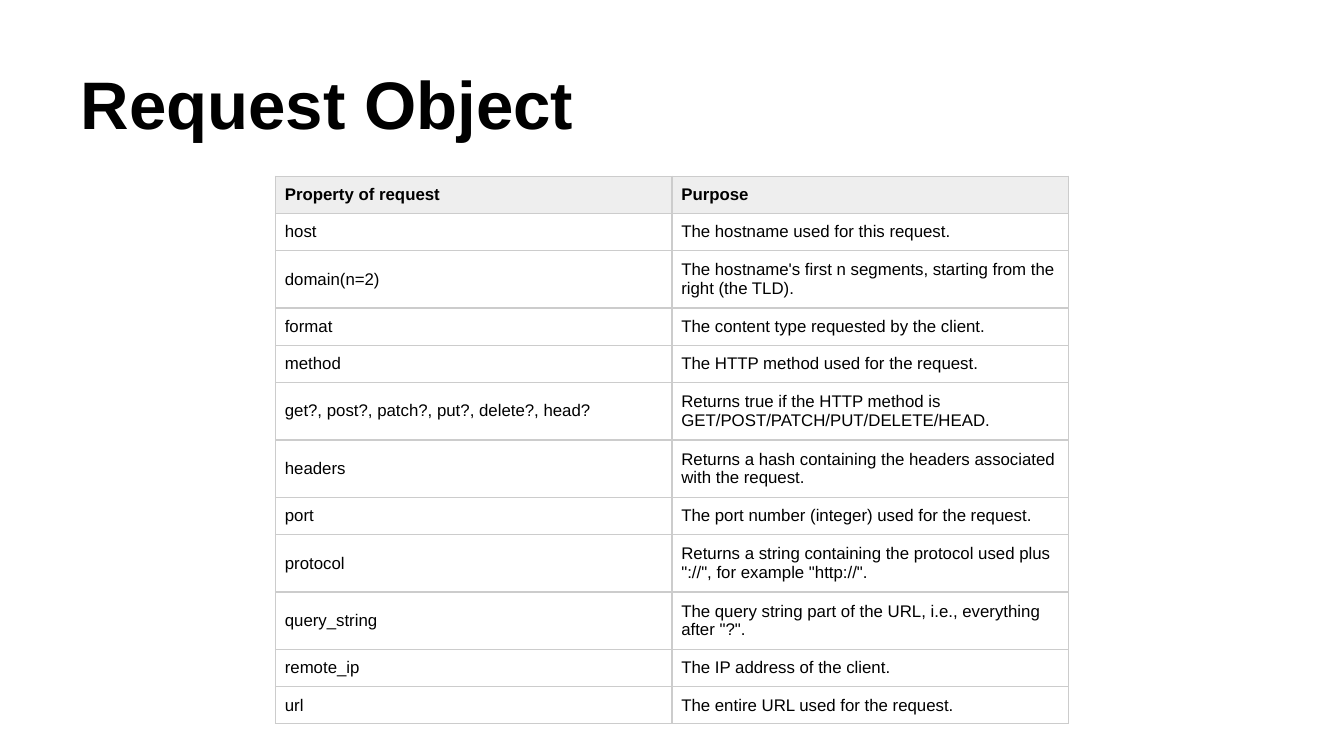
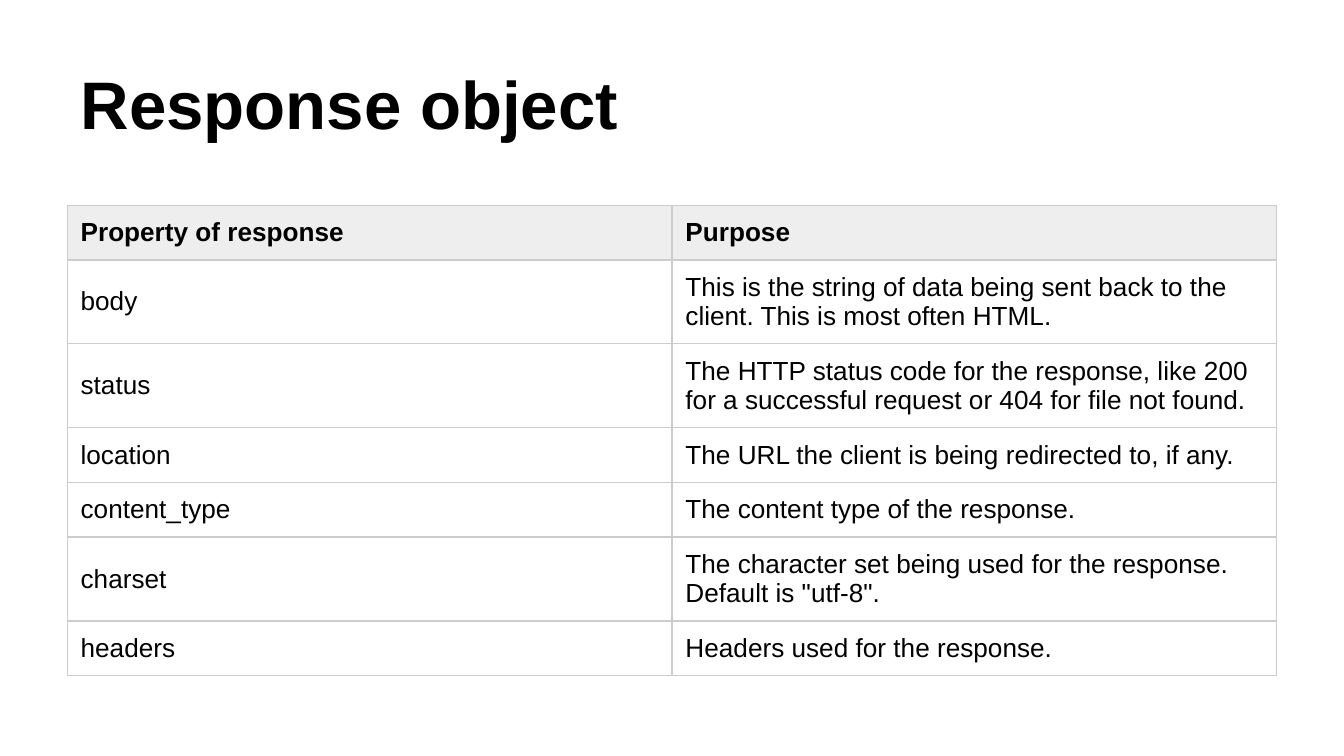
"""Builds two slides that tabulate the request and response objects."""
from dataclasses import dataclass

from lxml.etree import SubElement
from pptx import Presentation
from pptx.dml.color import RGBColor as RGB
from pptx.enum.text import MSO_ANCHOR as Anchor, PP_ALIGN as Align
from pptx.oxml.ns import qn
from pptx.util import Pt

REQUEST = [
    ("Property of request", "Purpose"),
    ("host", "The hostname used for this request."),
    ("domain(n=2)", "The hostname's first n segments, starting from the right (the TLD)."),
    ("format", "The content type requested by the client."),
    ("method", "The HTTP method used for the request."),
    ("get?, post?, patch?, put?, delete?, head?",
     "Returns true if the HTTP method is GET/POST/PATCH/PUT/DELETE/HEAD."),
    ("headers", "Returns a hash containing the headers associated with the request."),
    ("port", "The port number (integer) used for the request."),
    ("protocol", 'Returns a string containing the protocol used plus "://", for example "http://".'),
    ("query_string", 'The query string part of the URL, i.e., everything after "?".'),
    ("remote_ip", "The IP address of the client."),
    ("url", "The entire URL used for the request."),
]
RESPONSE = [
    ("Property of response", "Purpose"),
    ("body", "This is the string of data being sent back to the client. This is most often HTML."),
    ("status",
     "The HTTP status code for the response, like 200 for a successful request or 404 for file not found."),
    ("location", "The URL the client is being redirected to, if any."),
    ("content_type", "The content type of the response."),
    ("charset", 'The character set being used for the response. Default is "utf-8".'),
    ("headers", "Headers used for the response."),
]
SLIDES = [
    dict(title="Request Object", rows=REQUEST, top=94.4, width=424.8,
         size=9, pad=(5, 4.5), low=19.95, high=30.8),
    dict(title="Response object", rows=RESPONSE, top=110, width=648,
         size=14, pad=(7.2, 6.5), low=29.25, high=45),
]


@dataclass(frozen=True)
class Theme:
    """Holds the shared look and page measures."""
    font: str = "Arial"
    ink: str = "000000"
    head: str = "EEEEEE"
    body: str = "FFFFFF"
    rule: str = "CCCCCC"
    line: float = 0.75
    title: int = 36
    wide: int = 720
    tall: int = 405
    wrap: int = 55


T = Theme()


def write(frame, text, size, bold=False, pad=(7.2, 7.2)):
    """Puts formatted text with equal side padding into a frame or cell."""
    frame.margin_left = frame.margin_right = Pt(pad[0])
    frame.margin_top = frame.margin_bottom = Pt(pad[1])
    body = getattr(frame, "text_frame", frame)
    body.word_wrap = True
    para = body.paragraphs[0]
    para.alignment = Align.LEFT
    run = para.add_run()
    run.text = text
    run.font.name, run.font.size, run.font.bold = T.font, Pt(size), bold
    run.font.color.rgb = RGB.from_string(T.ink)


def frame_cell(cell):
    """Draws a thin rule on all four sides of a cell."""
    props = cell._tc.get_or_add_tcPr()
    for side in "LRTB":
        line = SubElement(props, qn(f"a:ln{side}"), w=str(Pt(T.line)))
        fill = SubElement(line, qn("a:solidFill"))
        SubElement(fill, qn("a:srgbClr"), val=T.rule)


def add_grid(slide, rows, top, width, size, pad, low, high):
    """Adds a centred table with taller rows where the purpose wraps."""
    tall = [high if len(row[-1]) > T.wrap else low for row in rows]
    cols = len(rows[0])
    grid = slide.shapes.add_table(len(rows), cols, Pt((T.wide - width) / 2), Pt(top),
                                  Pt(width), Pt(sum(tall))).table
    grid.first_row = grid.horz_banding = False
    for col in grid.columns:
        col.width = Pt(width / cols)
    for r, row in enumerate(rows):
        grid.rows[r].height = Pt(tall[r])
        for c, text in enumerate(row):
            cell = grid.cell(r, c)
            write(cell, text, size, bold=r == 0, pad=pad)
            cell.vertical_anchor = Anchor.MIDDLE
            frame_cell(cell)
            cell.fill.solid()
            cell.fill.fore_color.rgb = RGB.from_string(T.body if r else T.head)


def add_page(deck, title, **grid):
    """Adds a slide with its title and table."""
    slide = deck.slides.add_slide(deck.slide_layouts[5])
    head = slide.shapes.title
    head.left, head.top, head.width, head.height = Pt(36), Pt(16.5), Pt(648), Pt(67.5)
    head.text_frame.vertical_anchor = Anchor.BOTTOM
    write(head.text_frame, title, T.title, bold=True)
    add_grid(slide, **grid)


def main():
    """Builds and saves the deck."""
    deck = Presentation()
    deck.slide_width, deck.slide_height = Pt(T.wide), Pt(T.tall)
    for page in SLIDES:
        add_page(deck, **page)
    deck.save("out.pptx")


if __name__ == "__main__":
    main()
